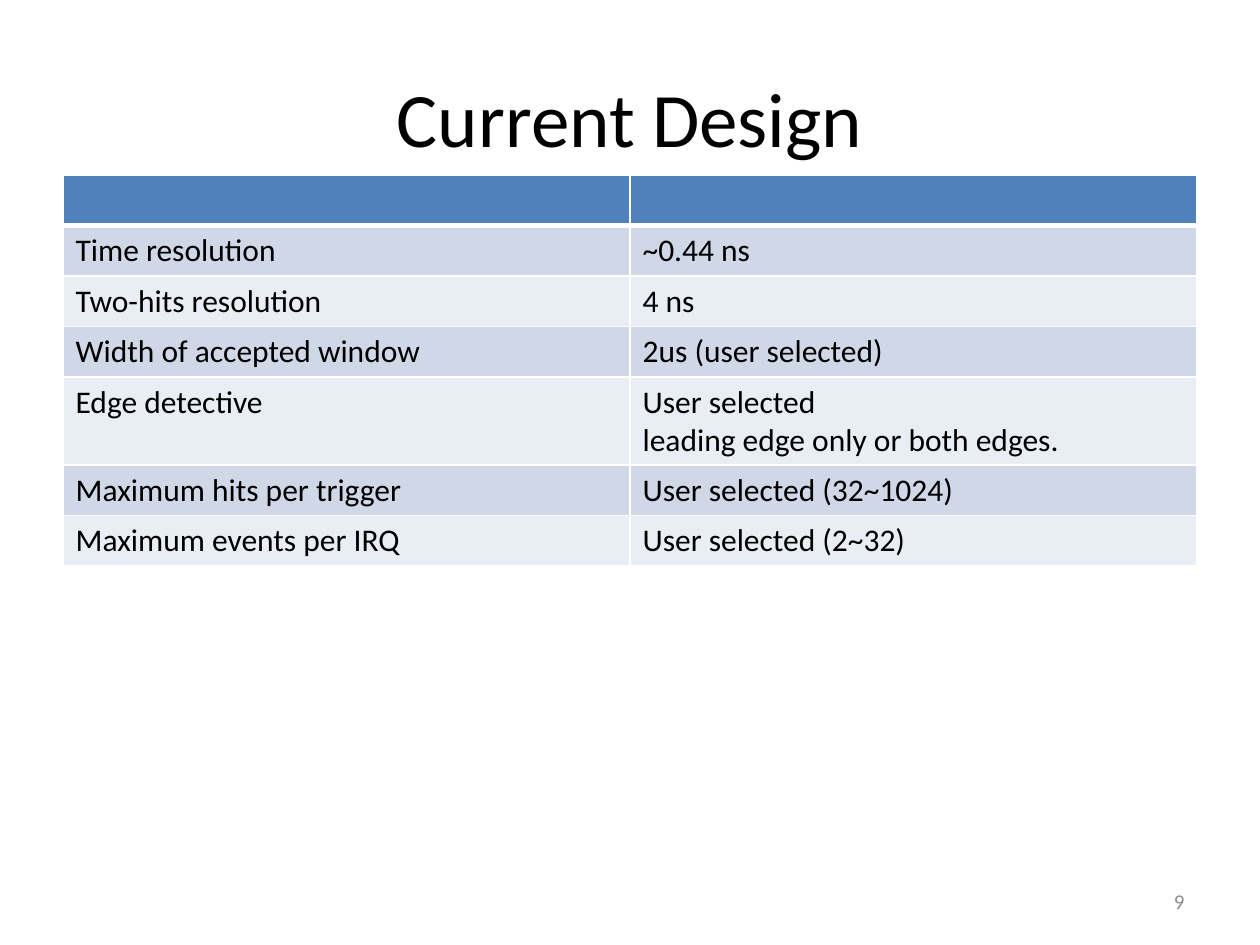
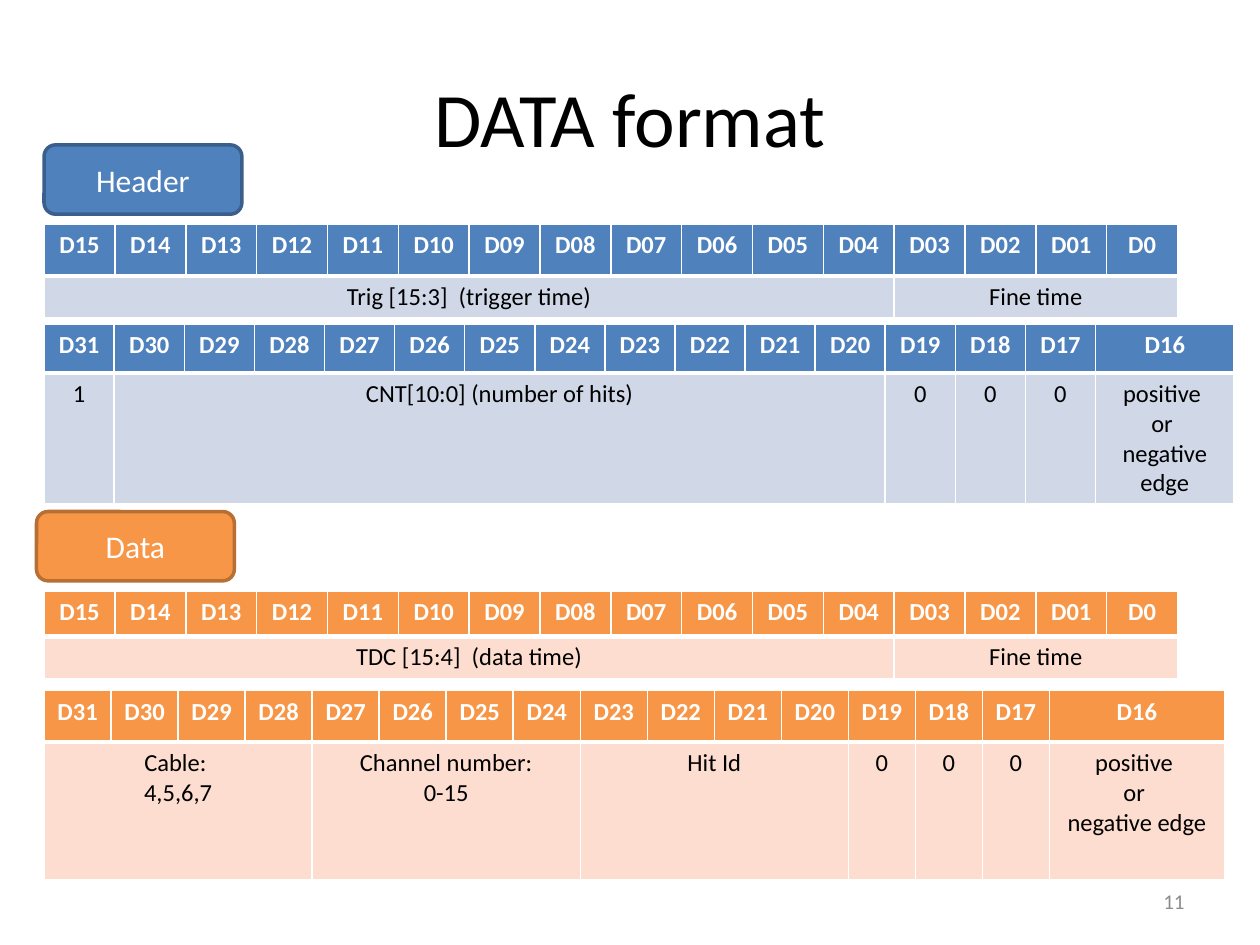
from copy import deepcopy

from lxml.etree import SubElement
from pptx import Presentation
from pptx.dml.color import RGBColor
from pptx.enum.shapes import MSO_SHAPE
from pptx.enum.text import MSO_ANCHOR as Anchor, PP_ALIGN as Align
from pptx.oxml.ns import qn
from pptx.util import Inches, Pt

FONT = "Calibri"
BLACK = RGBColor(0x00, 0x00, 0x00)
WHITE = RGBColor(0xFF, 0xFF, 0xFF)
GREY = RGBColor(0x8C, 0x8C, 0x8C)
BLUE = RGBColor(0x4F, 0x81, 0xBD)
BLUE_EDGE = RGBColor(0x3A, 0x5F, 0x8C)
BLUE_TINT = RGBColor(0xD0, 0xD8, 0xE8)
BLUE_PALE = RGBColor(0xE9, 0xED, 0xF4)
ORANGE = RGBColor(0xF7, 0x96, 0x46)
ORANGE_EDGE = RGBColor(0xB7, 0x6F, 0x34)
ORANGE_TINT = RGBColor(0xFC, 0xDD, 0xCF)

DESIGN_ROWS = [
    ("Time resolution", "~0.44 ns"),
    ("Two-hits resolution", "4 ns"),
    ("Width of accepted window", "2us (user selected)"),
    ("Edge detective", ["User selected", "leading edge only or both edges."]),
    ("Maximum hits per trigger", "User selected (32~1024)"),
    ("Maximum events per IRQ", "User selected (2~32)"),
]

LOW_BITS = [f"D{bit:02}" for bit in range(15, 0, -1)] + ["D0"]
HIGH_BITS = [f"D{bit}" for bit in range(31, 15, -1)]
EDGE_FIELDS = [("0", 1)] * 3 + [("positive \nor \nnegative edge", 1)]

# Each word: bit names, fields as (text, bits), top, width, last column, row heights
WORD_GROUPS = [
    {"name": "Header", "at": (0.35, 1.15), "colors": (BLUE, BLUE_EDGE, BLUE_TINT),
     "words": [
         (LOW_BITS, [("Trig [15:3]  (trigger time)", 12), ("Fine time", 4)],
          1.78, 9, 9 / 16, (0.41, 0.28)),
         (HIGH_BITS, [("1", 1), ("CNT[10:0] (number of hits)", 11)] + EDGE_FIELDS,
          2.57, 9.45, 1.1, (0.39, 0.55)),
     ]},
    {"name": "Data", "at": (0.29, 4.06), "colors": (ORANGE, ORANGE_EDGE, ORANGE_TINT),
     "words": [
         (LOW_BITS, [("TDC [15:4]  (data time)", 12), ("Fine time", 4)],
          4.69, 9, 9 / 16, (0.36, 0.28)),
         (HIGH_BITS, [("Cable: \n4,5,6,7", 4), ("Channel number:\n0-15", 4),
                      ("Hit Id", 4)] + EDGE_FIELDS,
          5.48, 9.37, 1.39, (0.41, 1.09)),
     ]},
]


def write(frame, text, size=18, color=BLACK, bold=False, align=Align.LEFT):
    """Fill a frame; a list gives paragraphs, a newline a break inside one."""
    for index, line in enumerate(text if isinstance(text, list) else [text]):
        para = frame.paragraphs[0] if index == 0 else frame.add_paragraph()
        para.text = line
        para.alignment = align
        for span in para.runs:
            span.font.name, span.font.size = FONT, Pt(size)
            span.font.bold, span.font.color.rgb = bold, color
        for line_break in para._p.findall(qn("a:br")):
            line_break.append(deepcopy(para.runs[0]._r.rPr))


def style_cell(cell, fill, top=1, bottom=1):
    """Give a cell white borders and a plain fill."""
    properties = cell._tc.get_or_add_tcPr()
    for side, points in (("L", 1), ("R", 1), ("T", top), ("B", bottom)):
        line = SubElement(properties, qn(f"a:ln{side}"), w=str(Pt(points)))
        SubElement(SubElement(line, qn("a:solidFill")), qn("a:srgbClr"), val=str(WHITE))
    cell.fill.solid()
    cell.fill.fore_color.rgb = fill


def add_grid(slide, left, top, widths, heights, fills):
    """Add a table with one fill per row and a thick line below the first."""
    frame = slide.shapes.add_table(len(heights), len(widths), Inches(left), Inches(top),
                                   Inches(sum(widths)), Inches(sum(heights)))
    table = frame.table
    for column, width in zip(table.columns, widths):
        column.width = Inches(width)
    for index, (row, height, fill) in enumerate(zip(table.rows, heights, fills)):
        row.height = Inches(height)
        for cell in row.cells:
            style_cell(cell, fill, top=3 if index == 1 else 1,
                       bottom=3 if index == 0 else 1)
    return table


def add_page(deck, title, number):
    page = deck.slides.add_slide(deck.slide_layouts[5])
    heading = page.shapes.title
    heading.left, heading.top = Inches(0.5), Inches(0.3)
    heading.width, heading.height = Inches(9), Inches(1.25)
    heading.text_frame.vertical_anchor = Anchor.MIDDLE
    write(heading.text_frame, title, size=44, align=Align.CENTER)
    box = page.shapes.add_textbox(Inches(7.17), Inches(6.95), Inches(2.33), Inches(0.4))
    box.text_frame.word_wrap = True
    box.text_frame.vertical_anchor = Anchor.MIDDLE
    write(box.text_frame, number, size=12, color=GREY, align=Align.RIGHT)
    return page


def add_word(page, word, head_fill, body_fill):
    """Add one 16-bit word: bit names above the fields that they hold."""
    bits, fields, top, width, last_width, heights = word
    bit_width = (width - last_width) / (len(bits) - 1)
    widths = [bit_width] * (len(bits) - 1) + [last_width]
    table = add_grid(page, 0.35, top, widths, heights, (head_fill, body_fill))
    for column, bit in enumerate(bits):
        write(table.cell(0, column).text_frame, bit, size=14, color=WHITE,
              bold=True, align=Align.CENTER)
    start = 0
    for text, count in fields:
        cell = table.cell(1, start)
        if count > 1:
            cell.merge(table.cell(1, start + count - 1))
        write(cell.text_frame, text, size=14, align=Align.CENTER)
        start += count


def add_label(page, name, at, fill, edge):
    left, top = at
    label = page.shapes.add_shape(MSO_SHAPE.ROUNDED_RECTANGLE, Inches(left), Inches(top),
                                  Inches(1.57), Inches(0.55))
    label.shadow.inherit = False
    label.fill.solid()
    label.fill.fore_color.rgb = fill
    label.line.color.rgb = edge
    label.line.width = Pt(2)
    label.text_frame.vertical_anchor = Anchor.MIDDLE
    write(label.text_frame, name, color=WHITE, align=Align.CENTER)


def add_design_page(deck):
    page = add_page(deck, "Current Design", "9")
    fills = [BLUE] + [BLUE_TINT, BLUE_PALE] * (len(DESIGN_ROWS) // 2)
    table = add_grid(page, 0.5, 1.39, [4.5, 4.5], [0.4] * len(fills), fills)
    for row, texts in enumerate(DESIGN_ROWS, start=1):
        for column, text in enumerate(texts):
            write(table.cell(row, column).text_frame, text)


def add_format_page(deck):
    page = add_page(deck, "DATA format", "11")
    for group in WORD_GROUPS:
        fill, edge, tint = group["colors"]
        add_label(page, group["name"], group["at"], fill, edge)
        for word in group["words"]:
            add_word(page, word, fill, tint)


def main():
    deck = Presentation()
    deck.slide_width, deck.slide_height = Inches(10), Inches(7.5)
    add_design_page(deck)
    add_format_page(deck)
    deck.save("out.pptx")


if __name__ == "__main__":
    main()
